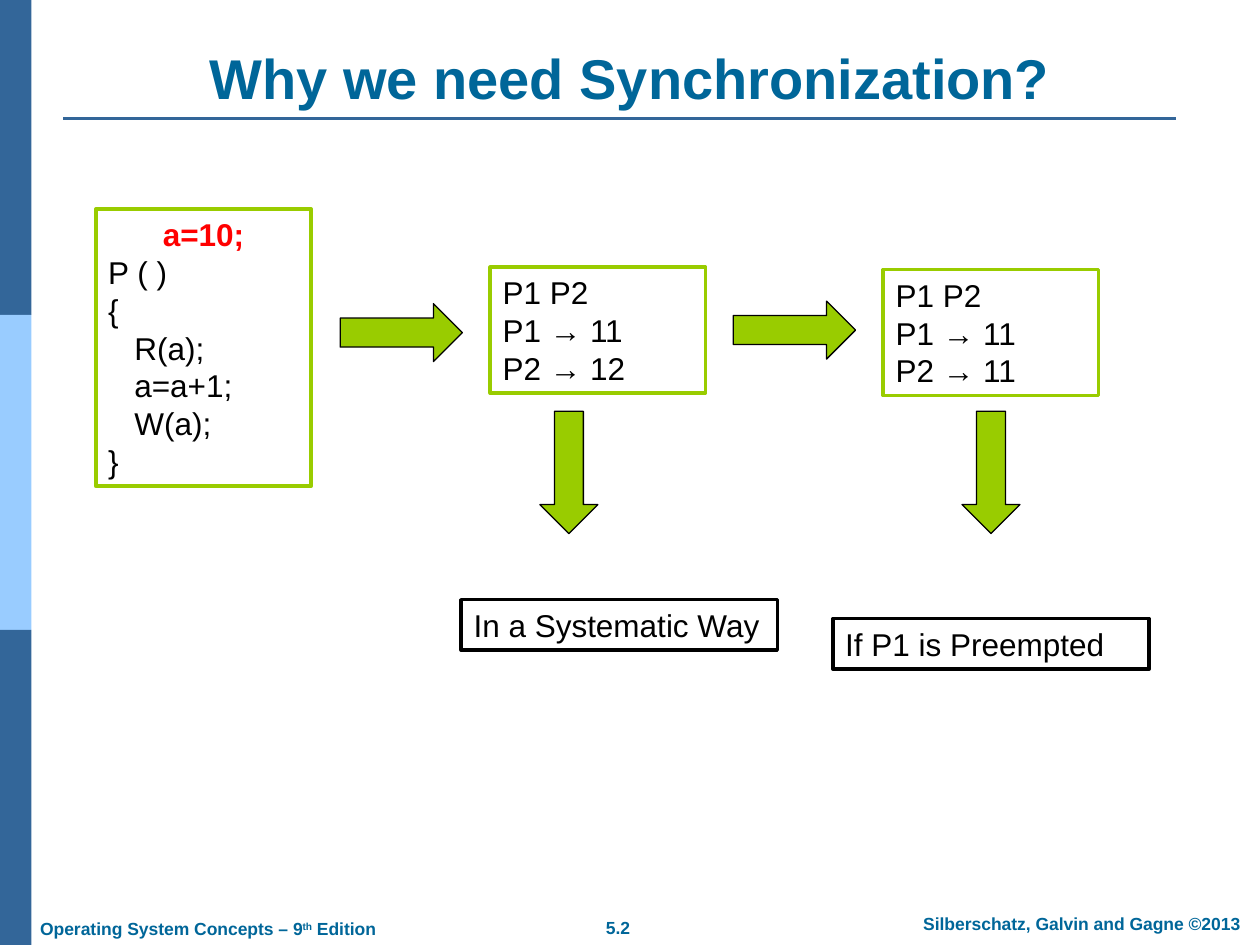
"""Build the slide that explains why processes need synchronization."""
from pptx import Presentation
from pptx.dml.color import RGBColor as RGB
from pptx.enum.shapes import MSO_CONNECTOR as CONN, MSO_SHAPE as SHAPE
from pptx.enum.text import MSO_ANCHOR as ANCHOR, PP_ALIGN as ALIGN
from pptx.oxml.ns import qn
from pptx.util import Inches, Pt

THEME = {
    "font": "Arial",
    "title": RGB(0x00, 0x66, 0x99),
    "dark": RGB(0x33, 0x66, 0x99),
    "light": RGB(0x99, 0xCC, 0xFF),
    "green": RGB(0x99, 0xCC, 0x00),
    "red": RGB(0xFF, 0x00, 0x00),
    "black": RGB(0x00, 0x00, 0x00),
    "white": RGB(0xFF, 0xFF, 0xFF),
    "title_size": Pt(32),
    "body_size": Pt(18),
    "body_line": Pt(21.6),
    "footer_size": Pt(10),
}


def add_block(s, kind, box, fill, line=None, width=0):
    sp = s.shapes.add_shape(kind, *map(Inches, box))
    sp.shadow.inherit = False
    sp.fill.solid()
    sp.fill.fore_color.rgb = THEME[fill]
    if line:
        sp.line.color.rgb = THEME[line]
        sp.line.width = Pt(width)
    else:
        sp.line.fill.background()
    return sp


def add_run(p, text, size, color, bold):
    r = p.add_run()
    r.text = text
    r.font.color.rgb = THEME[color]
    style = {"name": THEME["font"], "size": THEME[size], "bold": bold}
    for name, value in style.items():
        setattr(r.font, name, value)
    return r


prs = Presentation()
prs.slide_width, prs.slide_height = Inches(10), Inches(7.5)
s = prs.slides.add_slide(prs.slide_layouts[5])

for i, color in enumerate(["dark", "light", "dark"]):
    add_block(s, SHAPE.RECTANGLE, (0, 2.5 * i, 0.25, 2.5), color)

rule = s.shapes.add_connector(
    CONN.STRAIGHT, Inches(0.5), Inches(0.94), Inches(9.33), Inches(0.94))
rule.line.color.rgb = THEME["dark"]
rule.line.width = Pt(1.5)
sp_pr = rule._element.spPr
sp_pr.append(sp_pr.makeelement(qn("a:effectLst"), {}))

title = s.shapes.title
place = {"left": 0.5, "top": 0.3, "width": 9, "height": 0.63}
for name, value in place.items():
    setattr(title, name, Inches(value))
tf = title.text_frame
tf.vertical_anchor = ANCHOR.BOTTOM
p = tf.paragraphs[0]
p.alignment = ALIGN.CENTER
add_run(p, "Why we need Synchronization?", "title_size", "title", True)

footers = [
    ((4.41, 7.23, 0.99, 0.27), ALIGN.CENTER, False, ["5.2"]),
    ((7.1, 7.2, 2.97, 0.27), ALIGN.CENTER, True,
     ["Silberschatz, Galvin and Gagne ©2013"]),
    ((0.22, 7.24, 2.87, 0.27), ALIGN.LEFT, False,
     ["Operating System Concepts – 9", "th", " Edition"]),
]
for box, align, wrap, parts in footers:
    tf = s.shapes.add_textbox(*map(Inches, box)).text_frame
    tf.word_wrap = wrap
    p = tf.paragraphs[0]
    p.alignment = align
    for part in parts:
        r = add_run(p, part, "footer_size", "title", True)
        if part == "th":
            r.font._element.set("baseline", "30000")

code = ["a=10;", "P ( )", "{", "   R(a);", "   a=a+1;", "   W(a);", "}"]
boxes = [
    ((0.76, 1.66, 1.71, 2.2), "green", ALIGN.LEFT, code),
    ((3.89, 2.12, 1.71, 1), "green", ALIGN.LEFT,
     ["P1 P2", "P1 → 11", "P2 → 12"]),
    ((7.01, 2.14, 1.71, 1), "green", ALIGN.LEFT,
     ["P1 P2", "P1 → 11", "P2 → 11"]),
    ((3.66, 4.76, 2.51, 0.4), "black", ALIGN.JUSTIFY,
     ["In a Systematic Way"]),
    ((6.61, 4.91, 2.51, 0.4), "black", ALIGN.LEFT, ["If P1 is Preempted"]),
]
for box, line, align, rows in boxes:
    tf = add_block(s, SHAPE.RECTANGLE, box, "white", line, 2).text_frame
    tf.word_wrap = True
    tf.vertical_anchor = ANCHOR.TOP
    for i, row in enumerate(rows):
        p = tf.paragraphs[0] if i == 0 else tf.add_paragraph()
        start = row == "a=10;"
        p.alignment = ALIGN.CENTER if start else align
        p.line_spacing = THEME["body_line"]
        add_run(p, row, "body_size", "red" if start else "black", start)

arrows = [(2.7, 2.41, 0), (5.82, 2.39, 0), (4.03, 3.52, 90), (7.38, 3.52, 90)]
for left, top, angle in arrows:
    arrow = add_block(
        s, SHAPE.RIGHT_ARROW, (left, top, 0.97, 0.46), "green", "black", 0.75)
    arrow.rotation = angle

prs.save("out.pptx")
